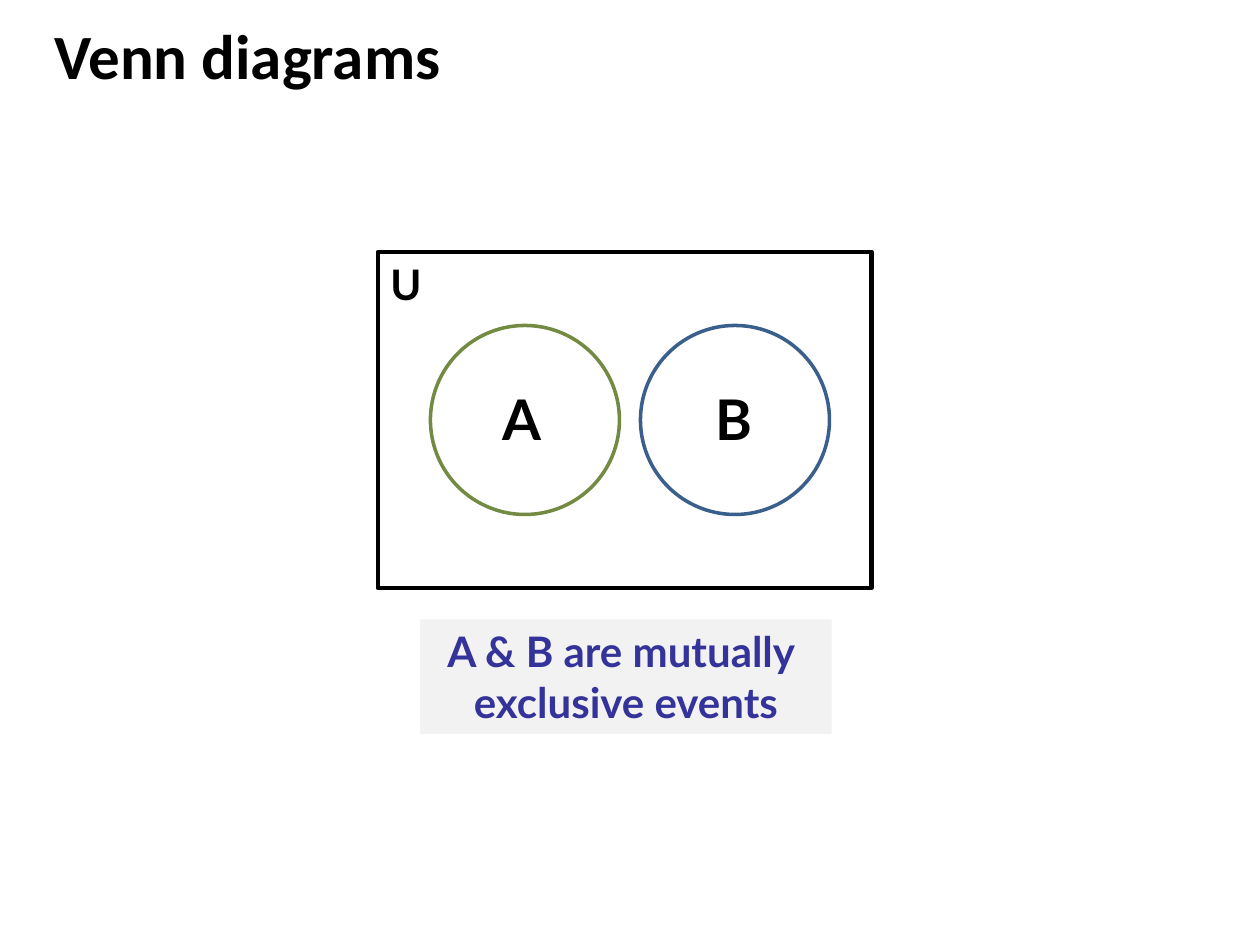
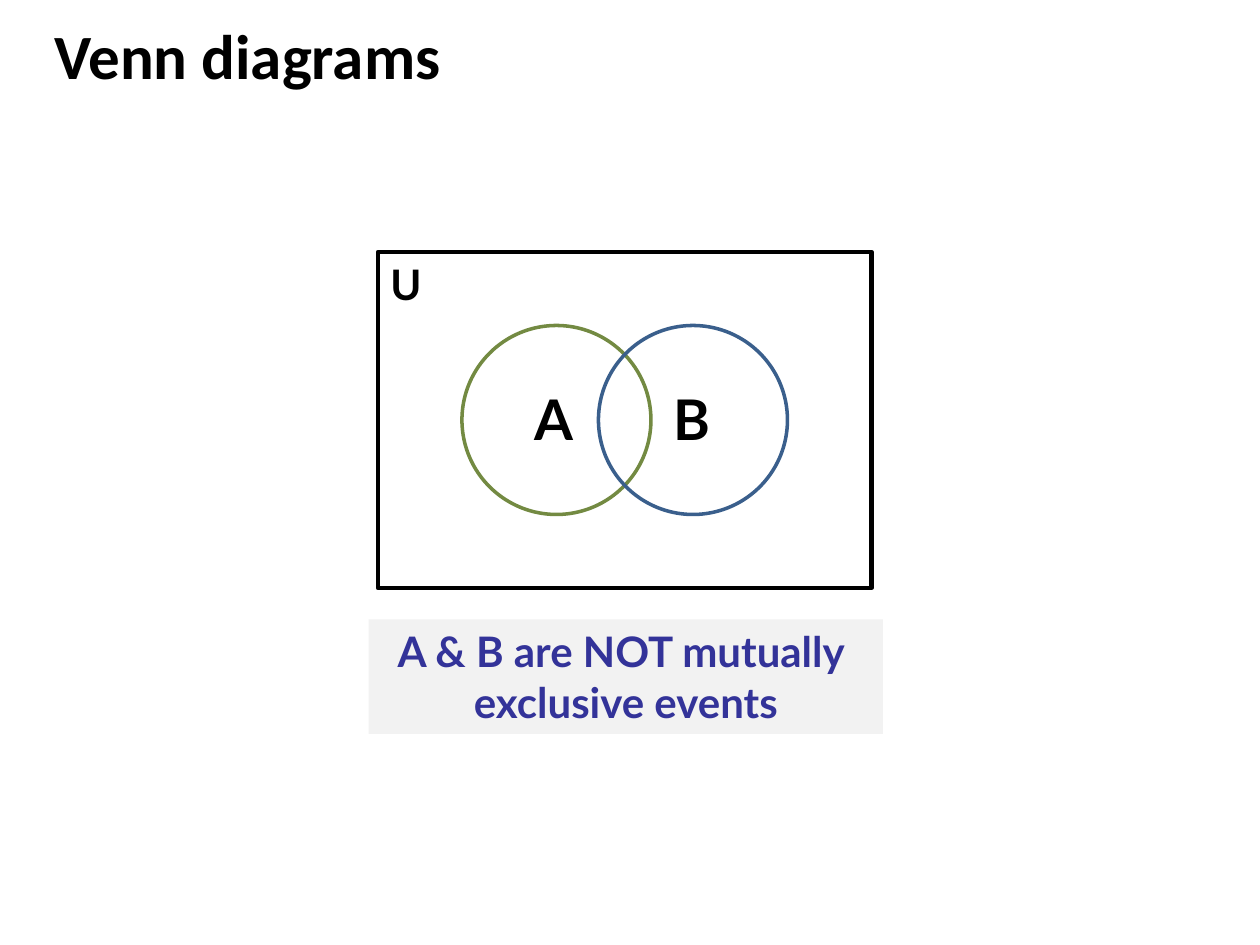
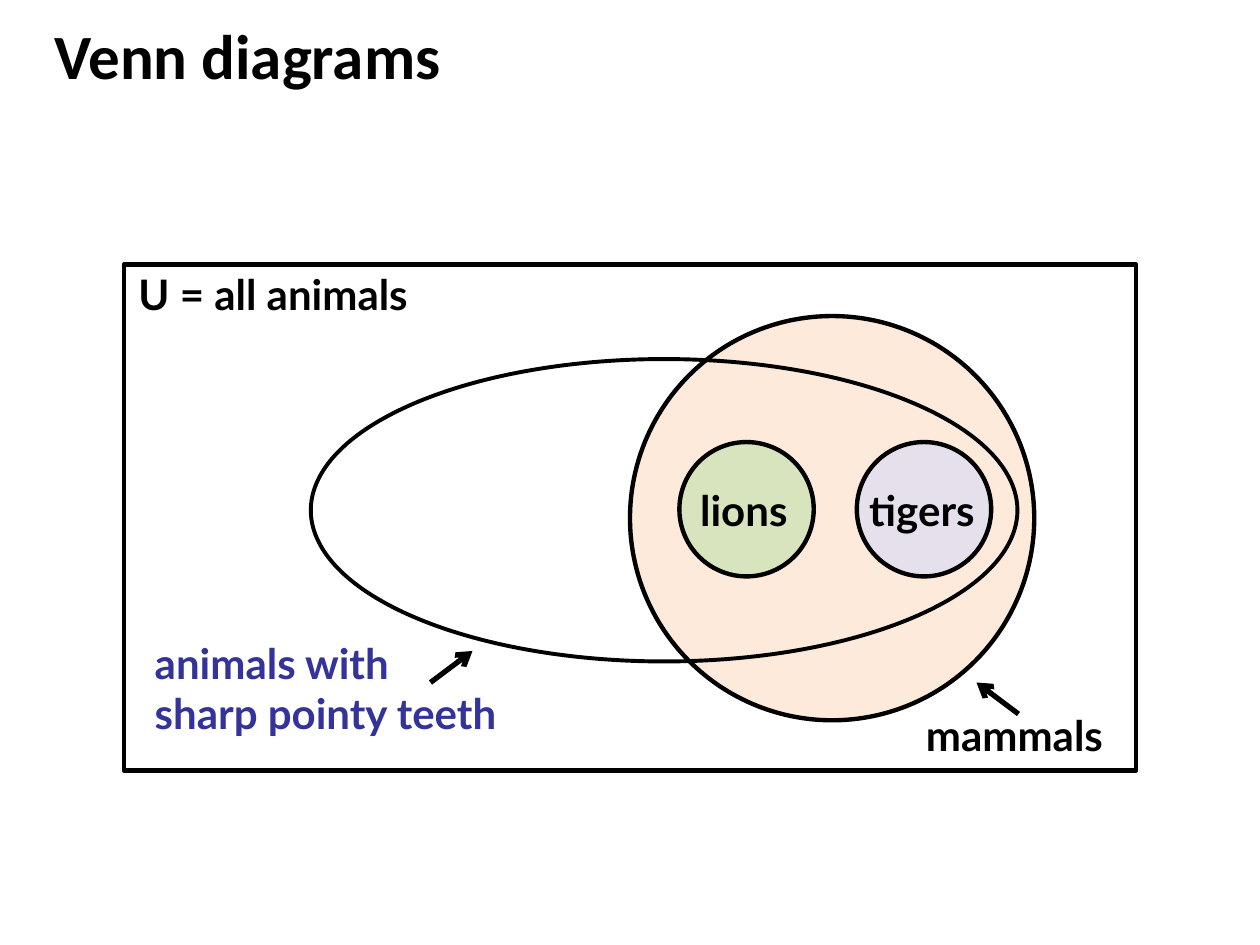
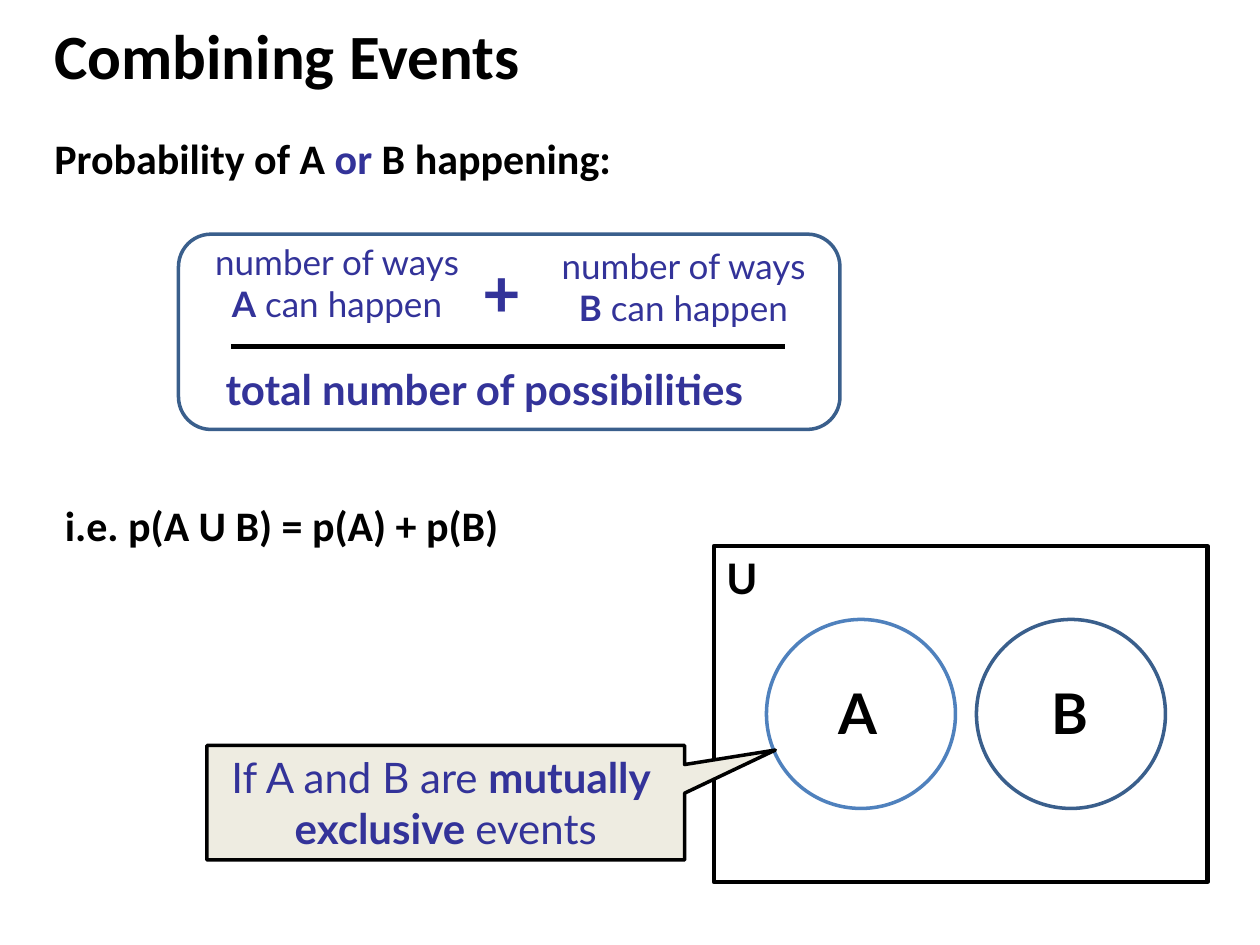
"""Four slides on Venn diagrams and combining events, laid out on a 120 by 90 grid."""
from pptx import Presentation
from pptx.dml.color import RGBColor
from pptx.enum.shapes import MSO_CONNECTOR, MSO_SHAPE
from pptx.enum.text import MSO_ANCHOR, MSO_AUTO_SIZE, PP_ALIGN
from pptx.oxml.ns import qn
from pptx.util import Inches, Pt
from lxml.etree import SubElement

COLORS = {
    "ink": "000000", "accent": "333399", "white": "FFFFFF",
    "green": "738A42", "navy": "3A5F8C", "blue": "4F81BD",
    "caption": "F2F2F2", "callout": "EEECE1",
    "mammals": "FDEADA", "lions": "D7E4BD", "tigers": "E6E0EC",
}
WIDTH, HEIGHT = Inches(10), Inches(7.5)
COLUMNS, ROWS = 120, 90
CIRCLE = 18
BOLD, PLAIN = {"bold": True}, {"bold": False}


def rgb(name):
    return RGBColor.from_string(COLORS[name])


def grid(*cells):
    """Turn alternating columns and rows into slide lengths."""
    units = (WIDTH / COLUMNS, HEIGHT / ROWS)
    return [round(cell * units[i % 2]) for i, cell in enumerate(cells)]


def write(holder, paragraphs, size=24, font="Lato", color="ink", bold=True,
          align=PP_ALIGN.LEFT, wrap=False, grow=True):
    """Fill a holder; a paragraph is a string or a list of (text, overrides)."""
    frame = holder.text_frame
    frame.word_wrap = wrap
    frame.auto_size = MSO_AUTO_SIZE.SHAPE_TO_FIT_TEXT if grow else MSO_AUTO_SIZE.NONE
    frame.vertical_anchor = MSO_ANCHOR.TOP
    for i, runs in enumerate(paragraphs):
        paragraph = frame.add_paragraph() if i else frame.paragraphs[0]
        paragraph.alignment = align
        for words, changes in [(runs, {})] if isinstance(runs, str) else runs:
            look = {"color": color, "bold": bold, **changes}
            run = paragraph.add_run()
            run.text = words
            run.font.size, run.font.name = Pt(size), font
            run.font.bold = look["bold"]
            run.font.color.rgb = rgb(look["color"])


def add_label(slide, place, *paragraphs, **look):
    write(slide.shapes.add_textbox(*grid(*place)), paragraphs, **look)


def add_outline(slide, kind, place, line="ink", weight=2.5, fill=None):
    outline = slide.shapes.add_shape(kind, *grid(*place))
    outline.shadow.inherit = False
    if fill:
        outline.fill.solid()
        outline.fill.fore_color.rgb = rgb(fill)
    else:
        outline.fill.background()
    if line:
        outline.line.color.rgb = rgb(line)
        outline.line.width = Pt(weight)
    else:
        outline.line.fill.background()
    return outline


def add_line(slide, start, end, arrow=False):
    stroke = slide.shapes.add_connector(MSO_CONNECTOR.STRAIGHT, *grid(*start, *end))
    stroke.line.color.rgb = rgb("ink")
    stroke.line.width = Pt(3)
    properties = stroke.element.spPr
    if arrow:
        SubElement(properties.find(qn("a:ln")), qn("a:tailEnd"), type="arrow")
    SubElement(properties, qn("a:effectLst"))


def add_titled_slide(deck, title):
    slide = deck.slides.add_slide(deck.slide_layouts[6])
    add_label(slide, (4, 1, 108, 15), title, size=36, font="Calibri", wrap=True, grow=False)
    return slide


def add_venn(slide, left, top, a_offset, b_offset, a_line="green", a_fill=None):
    """Draw the universe U with events A and B offset from its left edge."""
    universe = add_outline(slide, MSO_SHAPE.RECTANGLE, (left, top, 47, 32))
    write(universe, ["U"], grow=False)
    events = (("A", a_offset, 5.7, a_line, a_fill), ("B", b_offset, 6, "navy", None))
    for event, offset, indent, line, fill in events:
        x, y = left + offset, top + 7
        add_outline(slide, MSO_SHAPE.OVAL, (x, y, CIRCLE, CIRCLE), line, 2, fill)
        add_label(slide, (x + indent, y + 5, 6.4, 7.7), event, size=32)


def add_caption(slide, width, first_line):
    place = ((COLUMNS - 0.8 - width) / 2, 59, width, 10.9)
    caption = add_outline(slide, MSO_SHAPE.RECTANGLE, place, line=None, fill="caption")
    write(caption, [first_line, "exclusive events"], color="accent", align=PP_ALIGN.CENTER)


def add_animals(slide):
    add_label(slide, (13.56, 60.1, 38.4, 10.9), "animals with", "sharp pointy teeth",
              color="accent", wrap=True)
    add_outline(slide, MSO_SHAPE.OVAL, (60, 30.1, 38.5, 38.5), fill="mammals")
    add_outline(slide, MSO_SHAPE.RECTANGLE, (11.8, 25.2, 96.4, 48.2))
    add_label(slide, (12, 25, 30.6, 6), "U = all animals")
    add_label(slide, (87, 67, 21.7, 6), "mammals")
    add_line(slide, (41, 65), (45, 62), arrow=True)
    add_line(slide, (97, 68), (93, 65), arrow=True)
    for animal, x, label_x, label_width in (("lions", 64.7, 65.5, 11), ("tigers", 81.6, 81.6, 12.8)):
        add_outline(slide, MSO_SHAPE.OVAL, (x, 42.1, 12.8, 12.8), fill=animal)
        add_label(slide, (label_x, 45.6, label_width, 6), animal)
    add_outline(slide, MSO_SHAPE.OVAL, (29.6, 34.2, 67.3, 28.8), weight=2.25)


def add_fraction(slide):
    for event, x, y in (("B", 52, 22.7), ("A", 19, 22.3)):
        add_label(slide, (x, y, 26.2, 9.3), "number of ways",
                  [(event, BOLD), (" can happen", PLAIN)],
                  size=20, color="accent", bold=False, align=PP_ALIGN.CENTER)
    add_label(slide, (20.3, 34, 54.7, 6), "total number of possibilities", color="accent")
    add_line(slide, (22, 33), (74.8, 33))
    add_label(slide, (45, 23, 5.8, 9.3), "+", size=40, font="Calibri", color="accent")
    add_outline(slide, MSO_SHAPE.ROUNDED_RECTANGLE, (17, 22.3, 63, 18.6), "navy", 2)


def add_callout(slide):
    callout = add_outline(slide, MSO_SHAPE.RECTANGULAR_CALLOUT, (19.7, 71, 45.5, 10.9),
                          weight=2, fill="callout")
    callout.adjustments[0], callout.adjustments[1] = 0.69, -0.46
    write(callout, [[("If A and B are ", PLAIN), ("mutually ", BOLD)],
                    [("exclusive ", BOLD), ("events", PLAIN)]],
          color="accent", align=PP_ALIGN.CENTER)


def main():
    deck = Presentation()
    deck.slide_width, deck.slide_height = WIDTH, HEIGHT

    exclusive = add_titled_slide(deck, "Venn diagrams")
    add_venn(exclusive, 36, 24, 5, 25)
    add_caption(exclusive, 39.2, "A & B are mutually ")

    overlapping = add_titled_slide(deck, "Venn diagrams")
    add_venn(overlapping, 36, 24, 8, 21)
    add_caption(overlapping, 49, "A & B are NOT mutually ")

    add_animals(add_titled_slide(deck, "Venn diagrams"))

    combining = add_titled_slide(deck, "Combining Events")
    add_label(combining, (4, 12, 55.9, 6),
              [("Probability of A ", {}), ("or", {"color": "accent"}), (" B happening:", {})],
              font="Calibri")
    add_venn(combining, 68, 52, 5, 25, a_line="blue", a_fill="white")
    add_callout(combining)
    add_fraction(combining)
    add_label(combining, (5, 47, 45, 6), "i.e. p(A U B) = p(A) + p(B)", font="Calibri")

    deck.save("out.pptx")


if __name__ == "__main__":
    main()
